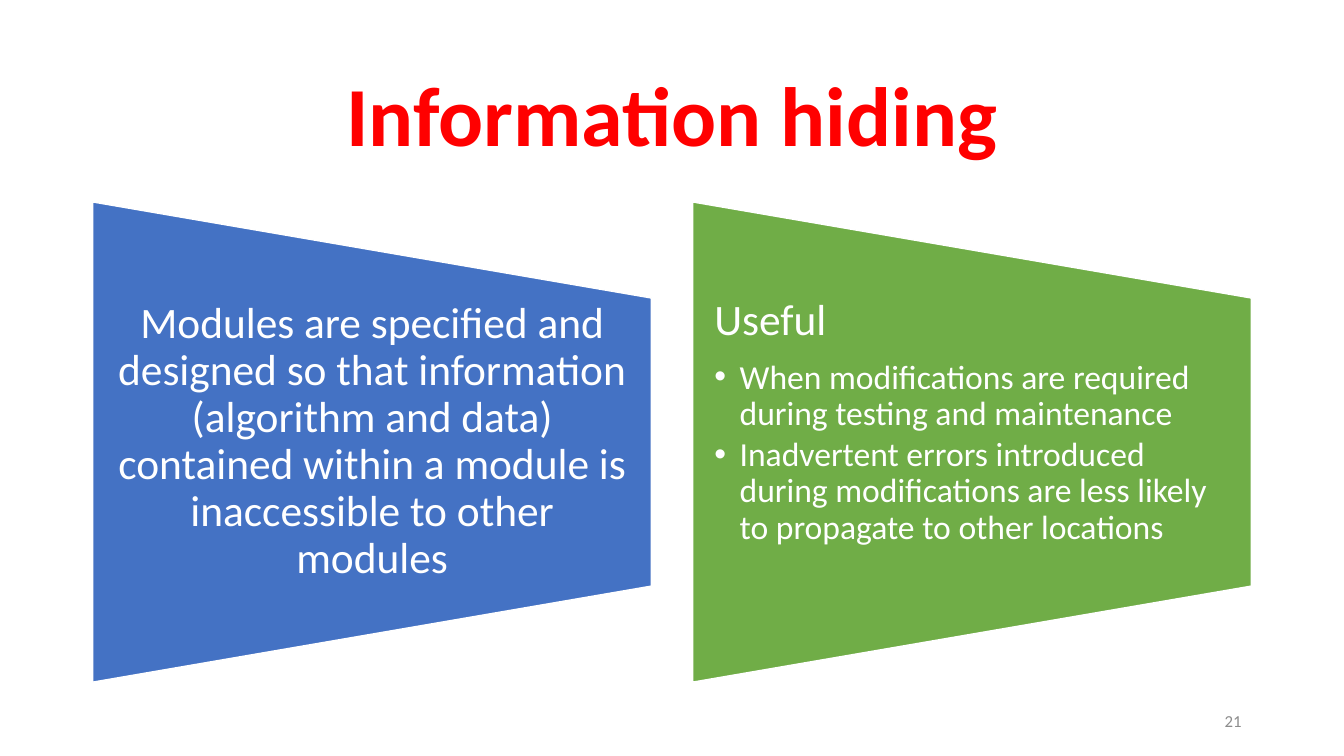
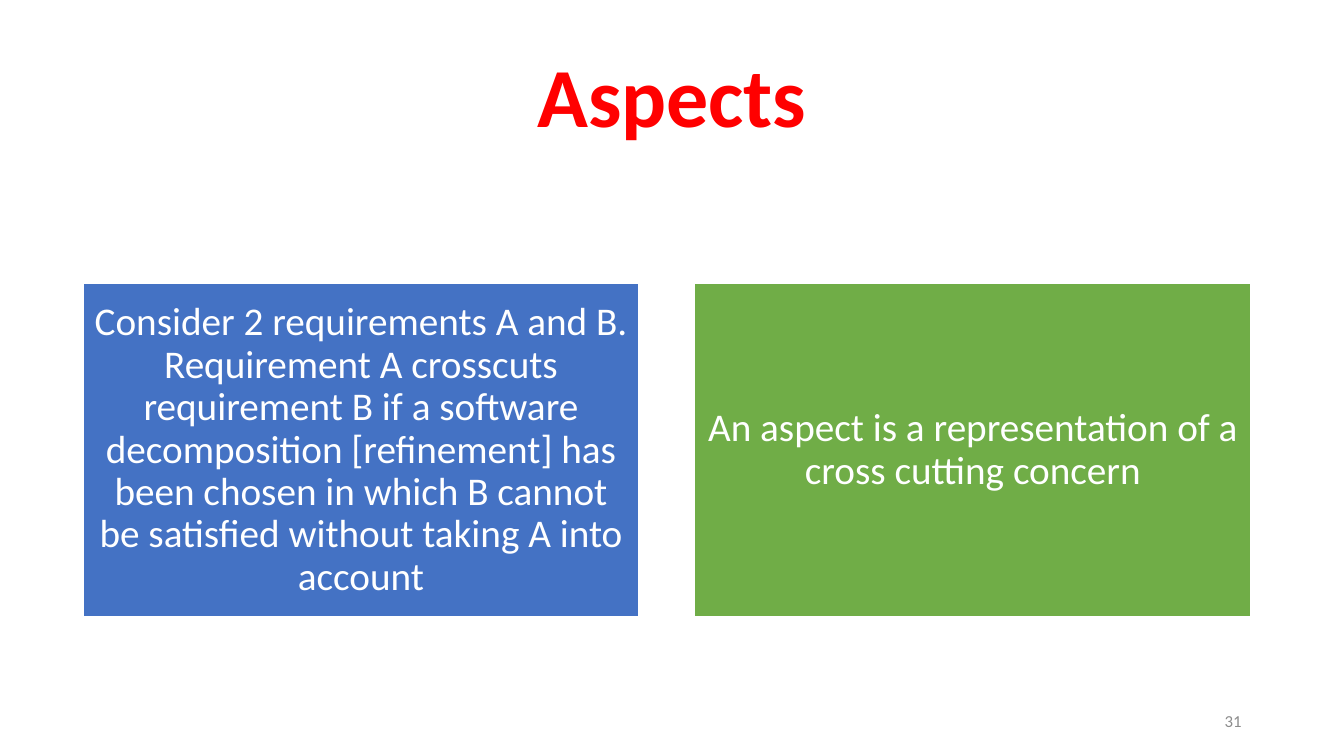
from lxml import etree
from pptx import Presentation
from pptx.dml.color import RGBColor
from pptx.enum.shapes import MSO_SHAPE
from pptx.enum.text import MSO_ANCHOR, MSO_AUTO_SIZE, PP_ALIGN
from pptx.oxml.ns import qn
from pptx.util import Pt

RECTANGLE = MSO_SHAPE.RECTANGLE
TRAPEZOID = MSO_SHAPE.FLOWCHART_MANUAL_OPERATION
LEFT, CENTER, RIGHT = PP_ALIGN.LEFT, PP_ALIGN.CENTER, PP_ALIGN.RIGHT
TOP, MIDDLE = MSO_ANCHOR.TOP, MSO_ANCHOR.MIDDLE
NO_AUTOFIT = MSO_AUTO_SIZE.NONE
TITLE_ONLY = 5


def rgb(hex_color):
    return RGBColor.from_string(hex_color)


def set_frame(frame, anchor=MIDDLE, inset_x=7.2, inset_y=3.6):
    frame.word_wrap = True
    frame.auto_size = NO_AUTOFIT
    frame.vertical_anchor = anchor
    frame.margin_left = frame.margin_right = Pt(inset_x)
    frame.margin_top = frame.margin_bottom = Pt(inset_y)


def write(paragraph, text, size, color="FFFFFF", bold=False, align=CENTER,
          line_spacing=0.9, after=0, bullet_indent=0):
    paragraph.alignment = align
    paragraph.line_spacing = line_spacing
    paragraph.space_before = Pt(0)
    paragraph.space_after = Pt(after)
    run = paragraph.add_run()
    run.text = text
    run.font.name = Deck.FONT
    run.font.size = Pt(size)
    run.font.bold = bold
    run.font.color.rgb = rgb(color)
    if bullet_indent:
        properties = paragraph._p.get_or_add_pPr()
        properties.set("marL", str(Pt(bullet_indent)))
        properties.set("indent", str(-Pt(bullet_indent)))
        etree.SubElement(properties, qn("a:buFont")).set("typeface", "Arial")
        etree.SubElement(properties, qn("a:buChar")).set("char", "•")


class Deck:
    FONT = "Calibri"
    RED, BLUE, GREEN, GRAY = "FF0000", "4472C4", "70AD47", "8C8C8C"
    WHITE = "FFFFFF"

    def __init__(self):
        self.presentation = Presentation()
        self.presentation.slide_width = Pt(960)
        self.presentation.slide_height = Pt(540)
        self.slide = None

    def new_slide(self, title, title_height, number):
        layout = self.presentation.slide_layouts[TITLE_ONLY]
        self.slide = self.presentation.slides.add_slide(layout)
        heading = self.slide.shapes.title
        heading.left, heading.top = Pt(66), Pt(28.75)
        heading.width, heading.height = Pt(828), Pt(title_height)
        set_frame(heading.text_frame)
        write(heading.text_frame.paragraphs[0], title, 60, self.RED, bold=True)
        footer = self.text_area(678, 500.5, 216, 28.75)
        write(footer.paragraphs[0], number, 12, self.GRAY, align=RIGHT,
              line_spacing=1.0)

    def text_area(self, left, top, width, height, **frame_format):
        box = self.slide.shapes.add_textbox(Pt(left), Pt(top), Pt(width), Pt(height))
        set_frame(box.text_frame, **frame_format)
        return box.text_frame

    def block(self, kind, left, top, width, height, color):
        block = self.slide.shapes.add_shape(
            kind, Pt(left), Pt(top), Pt(width), Pt(height))
        block.shadow.inherit = False
        block.fill.solid()
        block.fill.fore_color.rgb = rgb(color)
        block.line.color.rgb = rgb(self.WHITE)
        block.line.width = Pt(1)
        return block

    def tapered_panel(self, left, top, width, height, color, anchor=MIDDLE):
        """Draw a panel narrowing to the right; return its upright text frame."""
        # The preset narrows downwards, so it is turned about its centre.
        panel = self.block(TRAPEZOID, left + (width - height) / 2,
                           top + (height - width) / 2, height, width, color)
        panel.rotation = 270
        return self.text_area(left, top + height / 5, width, height * 3 / 5,
                              anchor=anchor, inset_x=15.6, inset_y=0)

    def card(self, left, top, width, height, color, text):
        card = self.block(RECTANGLE, left, top, width, height, color)
        set_frame(card.text_frame, inset_x=8.4, inset_y=8.4)
        write(card.text_frame.paragraphs[0], text, 28, after=9.8)


def build_information_hiding(deck):
    deck.new_slide("Information hiding", 112.25, "21")
    left, pitch, top, width, height = 66.25, 428.5, 144.25, 399, 343

    definition = deck.tapered_panel(left, top, width, height, deck.BLUE)
    write(definition.paragraphs[0],
          "Modules are specified and designed so that information (algorithm and "
          "data) contained within a module is inaccessible to other modules",
          31, after=10.85)

    benefits = deck.tapered_panel(left + pitch, top, width, height, deck.GREEN,
                                  anchor=TOP)
    write(benefits.paragraphs[0], "Useful", 31, align=LEFT, after=10.85)
    for benefit in (
        "When modifications are required during testing and maintenance",
        "Inadvertent errors introduced during modifications are less likely "
        "to propagate to other locations",
    ):
        write(benefits.add_paragraph(), benefit, 24, align=LEFT, after=3.6,
              bullet_indent=18)


def build_aspects(deck):
    deck.new_slide("Aspects", 85.75, "31")
    statements = (
        (deck.BLUE, "Consider 2 requirements A and B. Requirement A crosscuts "
                    "requirement B if a software decomposition [refinement] has been "
                    "chosen in which B cannot be satisfied without taking A into "
                    "account"),
        (deck.GREEN, "An aspect is a representation of a cross cutting concern"),
    )
    for column, (color, statement) in enumerate(statements):
        deck.card(59.25 + column * 437, 202.5, 397.25, 238.25, color, statement)


def main():
    deck = Deck()
    build_information_hiding(deck)
    build_aspects(deck)
    deck.presentation.save("out.pptx")


if __name__ == "__main__":
    main()
